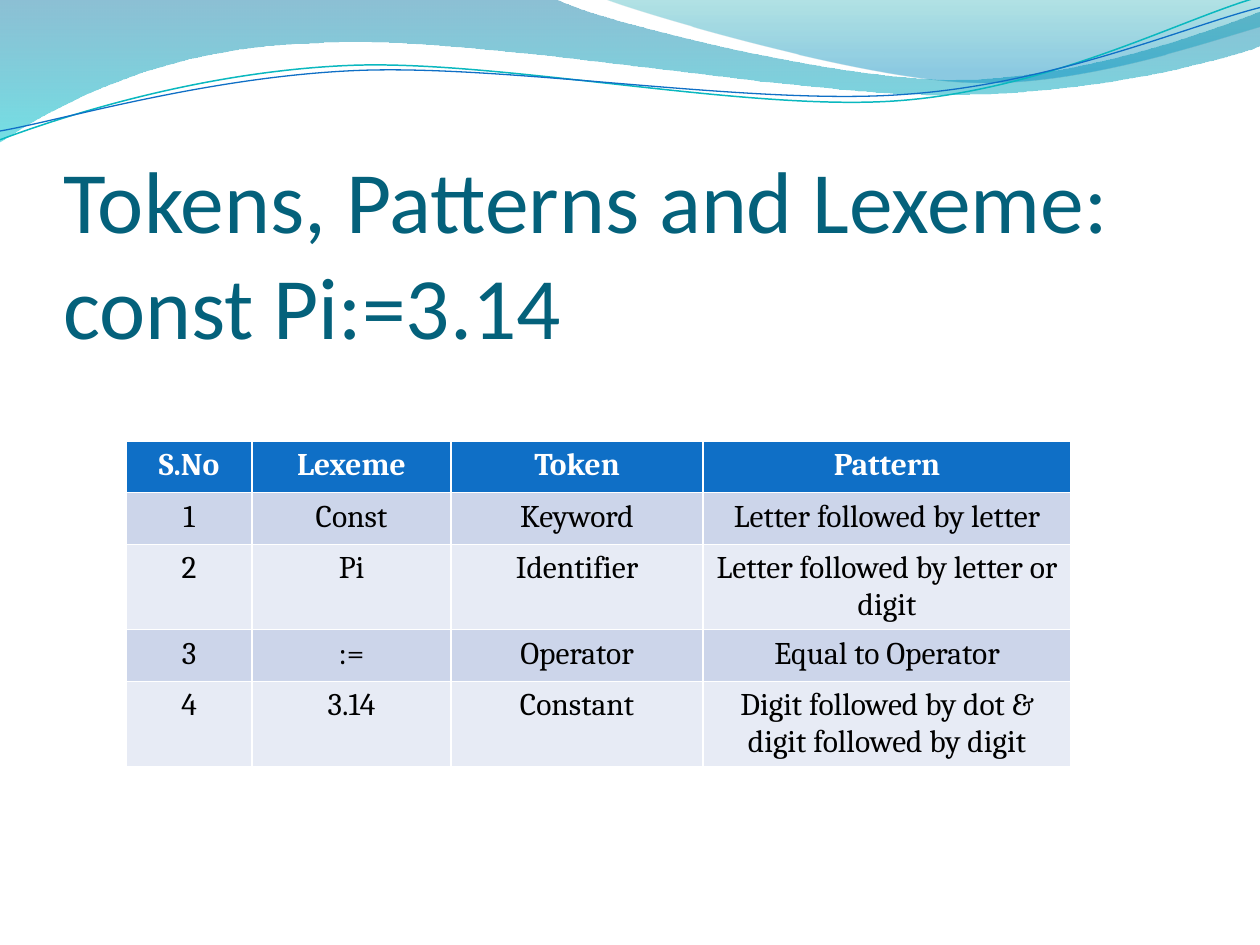
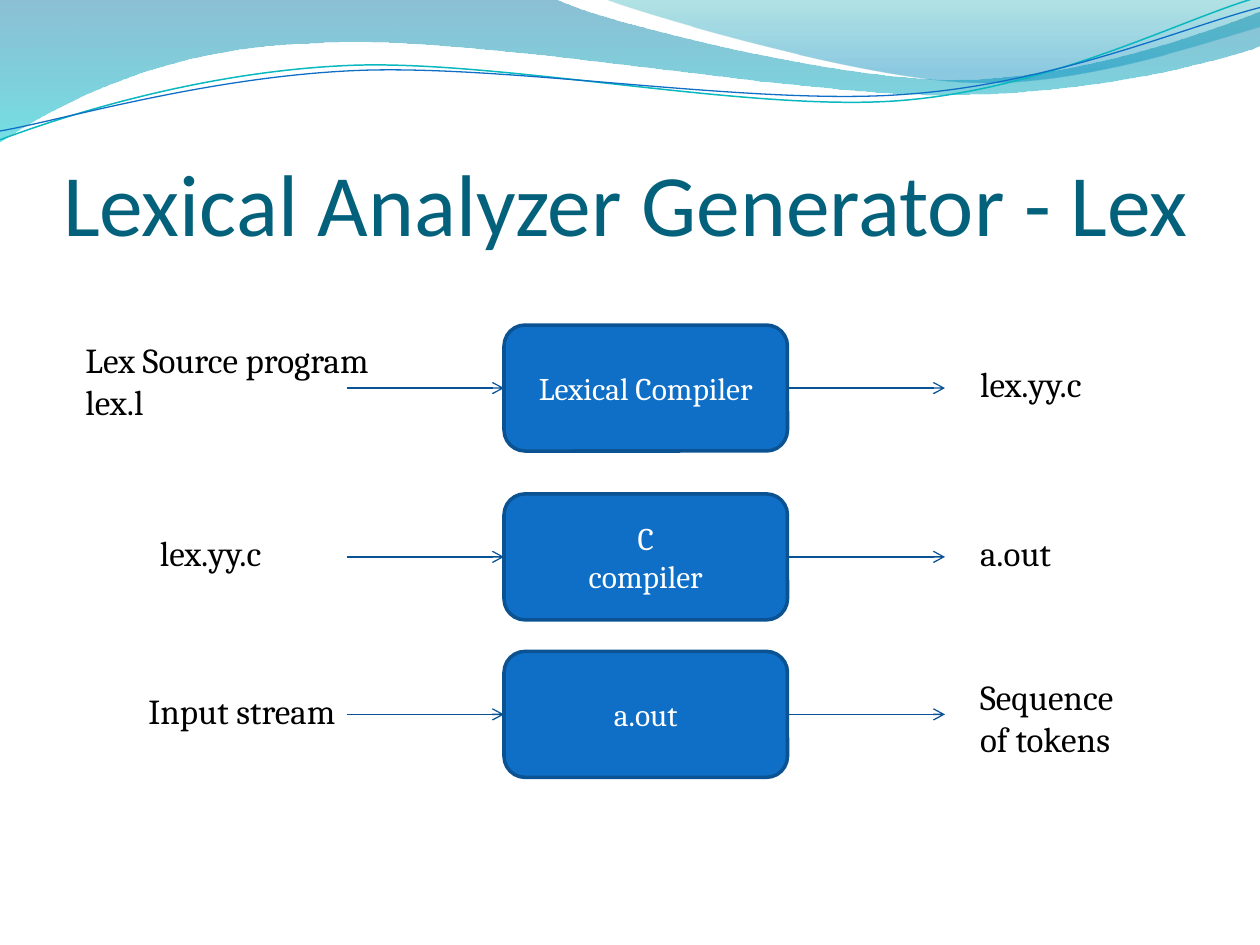
import dataclasses
import itertools

import lxml.etree
import pptx
import pptx.dml.color
import pptx.enum.shapes
import pptx.enum.text
import pptx.oxml.ns
import pptx.util

Inches = pptx.util.Inches
Pt = pptx.util.Pt
qn = pptx.oxml.ns.qn
ALIGN = pptx.enum.text.PP_ALIGN
ANCHOR = pptx.enum.text.MSO_ANCHOR
SHAPES = pptx.enum.shapes.MSO_SHAPE


@dataclasses.dataclass(frozen=True)
class Theme:
    """Colours and type styles shared by the slides."""

    white: str = "FFFFFF"
    black: str = "000000"
    title_color: str = "04617B"
    accent: str = "0F6FC6"
    box_edge: str = "0B5292"
    arrow: str = "095295"
    teal_line: str = "0AB8BF"
    bands: tuple = ("CCD5EA", "E7EBF5")
    title: tuple = (("name", "Calibri"), ("size", Pt(50)))
    body: tuple = (("name", "Cambria"), ("size", Pt(18)))
    label: tuple = (("name", "Cambria"), ("size", Pt(20)))


@dataclasses.dataclass(frozen=True)
class Label:
    """Text beside a stage; left is absolute, top is below the stage top."""

    lines: tuple
    left: float
    top: float
    width: float
    rows: int = 1


THEME = Theme()

BROAD_WAVE = ((0, 0), [
    ((4.4, -0.01),),
    ((4.76, 0.17), (6.64, 0.63), (7.58, 0.63)),
    ((8.53, 0.63), (9.58, 0.26), (10, 0.09)),
    ((10.01, 0.36),),
    ((9.83, 0.44), (8.7, 0.76), (7.46, 0.75)),
    ((6.22, 0.75), (3.82, 0.28), (2.57, 0.34)),
    ((1.29, 0.36), (0.46, 0.83), (-0.01, 1.13)),
    ((0, 0),),
])
RIGHT_WAVE = ((4.79, -0.01), [
    ((5.09, 0.11), (6.82, 0.62), (7.69, 0.65)),
    ((8.56, 0.69), (9.61, 0.32), (10, 0.21)),
    ((10, 0),),
    ((4.79, -0.01),),
])
TEAL_CURVE = ((0, 1.11), [
    ((0.48, 0.93), (1.58, 0.57), (2.77, 0.52)),
    ((3.95, 0.47), (5.93, 0.89), (7.13, 0.8)),
    ((8.33, 0.71), (9.38, 0.15), (9.98, -0.02)),
])
BLUE_CURVE = ((0, 1.04), [
    ((0.47, 0.96), (1.64, 0.61), (2.83, 0.56)),
    ((4.03, 0.51), (5.97, 0.84), (7.17, 0.75)),
    ((8.36, 0.67), (9.41, 0.21), (10, 0.06)),
])
WAVE_FILLS = [
    (BROAD_WAVE, [(0, "0074A1", 45), (1, "00C6CF", 55)]),
    (RIGHT_WAVE, [(0, "00A1A9", 30), (0.8, "008BBF", 45)]),
]
WAVE_LINES = [
    (TEAL_CURVE, THEME.teal_line, 0.85),
    (BLUE_CURVE, THEME.accent, 0.75),
]

TOKEN_ROWS = [
    ("S.No", "Lexeme", "Token", "Pattern"),
    ("1", "Const", "Keyword", "Letter followed by letter"),
    ("2", "Pi", "Identifier", "Letter followed by letter or digit"),
    ("3", ":=", "Operator", "Equal to Operator"),
    ("4", "3.14", "Constant", "Digit followed by dot & digit followed by digit"),
]
TOKEN_WIDTHS = (1, 1.58, 2, 2.92)

STAGES = [
    (2.58, ("Lexical Compiler",),
     Label(("Lex Source program", "lex.l"), 0.58, 0.06, 2.48, 2),
     Label(("lex.yy.c",), 7.68, 0.25, 1.4)),
    (3.92, ("C", "compiler"),
     Label(("lex.yy.c",), 1.17, 0.25, 1.73),
     Label(("a.out",), 7.68, 0.25, 1.4)),
    (5.17, ("a.out",),
     Label(("Input stream",), 1.08, 0.25, 1.73),
     Label(("Sequence of tokens",), 7.68, 0.14, 1.4, 2)),
]


def rgb(value):
    """Return a colour object for a hex string."""
    return pptx.dml.color.RGBColor.from_string(value)


def apply(target, values):
    """Set each named attribute on the target."""
    for name, value in dict(values).items():
        setattr(target, name, value)


def add_element(parent, tag, **attributes):
    """Append a drawing element to a parent and return it."""
    return lxml.etree.SubElement(parent, qn(tag), attributes)


def style_line(line, color, width):
    """Give a line its colour and width in points."""
    line.color.rgb = rgb(color)
    line.width = Pt(width)


def add_text(paragraph, text, style, color, **extra):
    """Add a styled run to a paragraph."""
    run = paragraph.add_run()
    run.text = text
    apply(run.font, {**dict(style), **extra})
    run.font.color.rgb = rgb(color)


def fill_frame(frame, lines, style, color, align=ALIGN.LEFT, **extra):
    """Write one paragraph for each line."""
    for index, line in enumerate(lines):
        paragraph = frame.add_paragraph() if index else frame.paragraphs[0]
        paragraph.alignment = align
        add_text(paragraph, line, style, color, **extra)


def add_curve(slide, outline, close):
    """Draw an outline of straight and cubic segments in slide inches."""
    start, segments = outline
    points = [(Inches(x), Inches(y)) for x, y in (start, *itertools.chain(*segments))]
    builder = slide.shapes.build_freeform(*points[0], scale=1.0)
    builder.add_line_segments(points[1:], close=close)
    curve = builder.convert_to_shape()
    curve.shadow.inherit = False
    steps = iter(list(curve.element.iter(qn("a:lnTo"))))
    for segment in segments:
        corners = list(itertools.islice(steps, len(segment)))
        if len(corners) == 3:
            bezier = lxml.etree.Element(qn("a:cubicBezTo"))
            corners[0].addprevious(bezier)
            for corner in corners:
                bezier.append(corner[0])
                corner.getparent().remove(corner)
    return curve


def add_waves(slide, master):
    """Draw the wave header and place it behind the master placeholders."""
    waves = []
    for outline, stops in WAVE_FILLS:
        wave = add_curve(slide, outline, True)
        wave.line.fill.background()
        wave.fill.gradient()
        wave.fill.gradient_angle = 270
        for stop, (position, color, _) in zip(wave.fill.gradient_stops, stops):
            stop.position = position
            stop.color.rgb = rgb(color)
        for node, (_, _, opacity) in zip(wave.element.iter(qn("a:srgbClr")), stops):
            add_element(node, "a:alpha", val=str(opacity * 1000))
        waves.append(wave)
    for outline, color, width in WAVE_LINES:
        wave = add_curve(slide, outline, False)
        wave.fill.background()
        style_line(wave.line, color, width)
        waves.append(wave)
    for index, wave in enumerate(waves):
        master.shapes.element.insert(2 + index, wave.element)


def add_title(slide, lines, height):
    """Place the title placeholder and set its lines."""
    title = slide.shapes.title
    apply(title, {"left": Inches(0.5), "top": Inches(0.77),
                  "width": Inches(9), "height": Inches(height)})
    frame = title.text_frame
    apply(frame, {"margin_left": 0, "margin_right": 0, "margin_top": Inches(0.05),
                  "margin_bottom": 0, "vertical_anchor": ANCHOR.BOTTOM,
                  "word_wrap": True, "auto_size": pptx.enum.text.MSO_AUTO_SIZE.NONE})
    paragraph = frame.paragraphs[0]
    paragraph.alignment = ALIGN.LEFT
    for index, line in enumerate(lines):
        if index:
            paragraph.add_line_break()
        add_text(paragraph, line, THEME.title, THEME.title_color)


def add_token_table(slide, left, top, row_height):
    """Draw the table of lexemes, tokens and patterns."""
    table = slide.shapes.add_table(
        len(TOKEN_ROWS), len(TOKEN_WIDTHS), Inches(left), Inches(top),
        Inches(sum(TOKEN_WIDTHS)), Inches(row_height * len(TOKEN_ROWS))).table
    for column, width in zip(table.columns, TOKEN_WIDTHS):
        column.width = Inches(width)
    for row, values in enumerate(TOKEN_ROWS):
        header = row == 0
        for column, value in enumerate(values):
            cell = table.cell(row, column)
            cell.fill.solid()
            cell.fill.fore_color.rgb = rgb(
                THEME.accent if header else THEME.bands[(row - 1) % 2])
            fill_frame(cell.text_frame, [value], THEME.body,
                       THEME.white if header else THEME.black, ALIGN.CENTER, bold=header)


def add_label(slide, label, stage_top):
    """Write a label beside a stage."""
    frame = slide.shapes.add_textbox(
        Inches(label.left), Inches(stage_top + label.top), Inches(label.width),
        Inches(0.11 + 0.33 * label.rows)).text_frame
    apply(frame, {"word_wrap": True,
                  "auto_size": pptx.enum.text.MSO_AUTO_SIZE.SHAPE_TO_FIT_TEXT})
    fill_frame(frame, label.lines, THEME.label, THEME.black)


def add_arrow(slide, start, end, y):
    """Draw a level arrow and return it."""
    arrow = slide.shapes.add_connector(
        pptx.enum.shapes.MSO_CONNECTOR.STRAIGHT,
        Inches(start), Inches(y), Inches(end), Inches(y))
    style_line(arrow.line, THEME.arrow, 0.75)
    properties = arrow.element.spPr
    add_element(properties.find(qn("a:ln")), "a:tailEnd", type="arrow")
    add_element(properties, "a:effectLst")
    return arrow


def add_stage(slide, top, name, source, result, left=4, width=2.25, height=1, reach=1.25):
    """Draw one processing step with its input and output."""
    box = slide.shapes.add_shape(SHAPES.ROUNDED_RECTANGLE, Inches(left), Inches(top),
                                 Inches(width), Inches(height))
    box.shadow.inherit = False
    box.fill.solid()
    box.fill.fore_color.rgb = rgb(THEME.accent)
    style_line(box.line, THEME.box_edge, 2)
    box.text_frame.vertical_anchor = ANCHOR.MIDDLE
    fill_frame(box.text_frame, name, THEME.body, THEME.white, ALIGN.CENTER)
    middle, right = top + height / 2, left + width
    add_arrow(slide, left - reach, left, middle).end_connect(box, 1)
    add_label(slide, source, top)
    add_arrow(slide, right, right + reach, middle).begin_connect(box, 3)
    add_label(slide, result, top)


def build_token_slide(slide):
    """Build the slide that splits a statement into tokens."""
    add_title(slide, ("Tokens, Patterns and Lexeme:", "const Pi:=3.14"), 2.06)
    add_token_table(slide, 1, 3.5, 0.41)


def build_lex_slide(slide):
    """Build the slide that shows the generator steps."""
    add_title(slide, ("Lexical Analyzer Generator - Lex",), 1.25)
    for stage in STAGES:
        add_stage(slide, *stage)


def main():
    """Build and save the presentation."""
    deck = pptx.Presentation()
    apply(deck, {"slide_width": Inches(10), "slide_height": Inches(7.5)})
    title_only = deck.slide_layouts[5]
    token_slide = deck.slides.add_slide(title_only)
    lex_slide = deck.slides.add_slide(title_only)
    add_waves(token_slide, deck.slide_master)
    build_token_slide(token_slide)
    build_lex_slide(lex_slide)
    deck.save("out.pptx")


if __name__ == "__main__":
    main()
